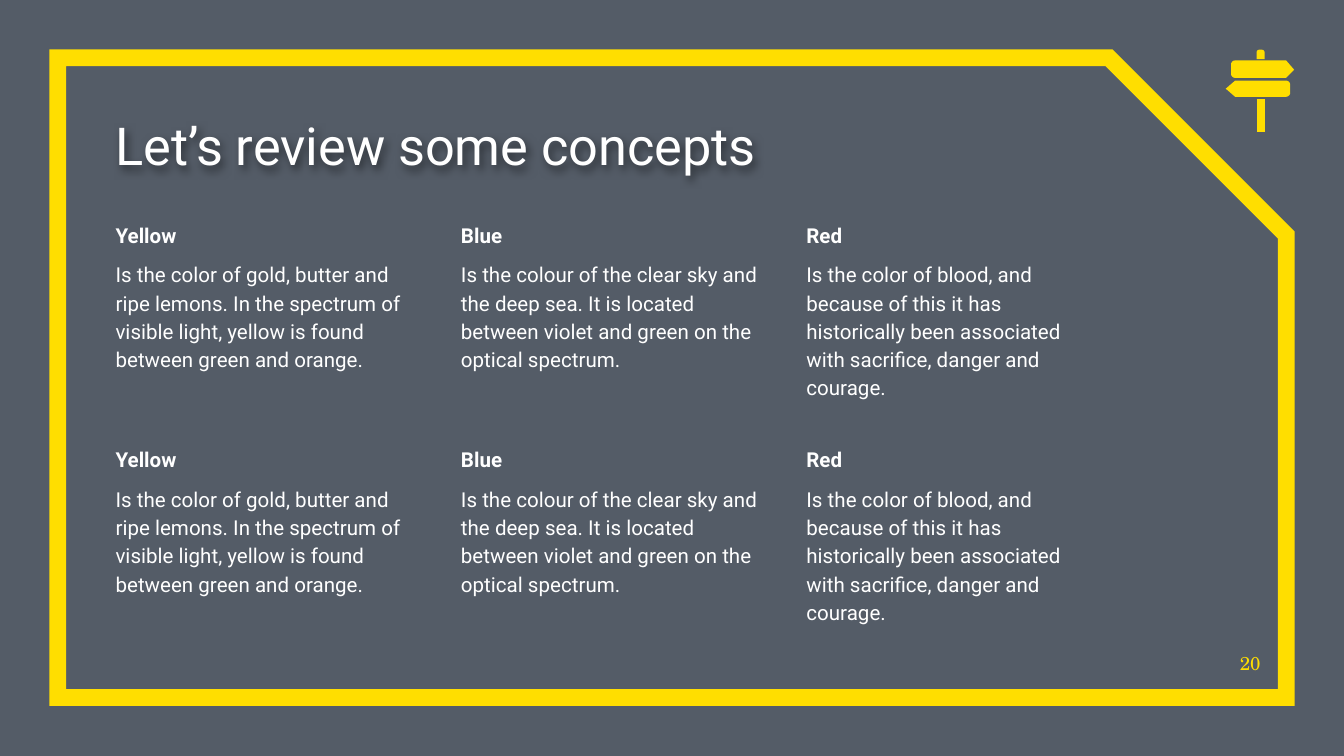
from copy import deepcopy
from math import cos, radians, sin

from lxml.etree import SubElement
from pptx import Presentation
from pptx.dml.color import RGBColor
from pptx.enum.shapes import MSO_SHAPE
from pptx.enum.text import MSO_ANCHOR, MSO_AUTO_SIZE, PP_ALIGN
from pptx.oxml.ns import qn
from pptx.util import Inches, Pt

COLORS = {"navy": "040F20", "yellow": "FFDE00", "white": "FFFFFF", "black": "000000"}
WIDTH = 10
HEIGHT = WIDTH * 9 / 16
UNITS = 1000
CONCEPTS = [
    ("Yellow", "Is the color of gold, butter and ripe lemons. In the spectrum of "
               "visible light, yellow is found between green and orange."),
    ("Blue", "Is the colour of the clear sky and the deep sea. It is located "
             "between violet and green on the optical spectrum."),
    ("Red", "Is the color of blood, and because of this it has historically been "
            "associated with sacrifice, danger and courage."),
]


def rgb(name):
    """Return the named colour."""
    return RGBColor.from_string(COLORS[name])


def place(s, x, y, w, h):
    """Set the position and size of a shape in inches."""
    s.left, s.top, s.width, s.height = (Inches(v) for v in (x, y, w, h))


def write(p, text, size=11, font="Roboto", color="white", bold=False,
          align=PP_ALIGN.LEFT, before=0, spacing=1.0):
    """Fill a paragraph with one formatted run."""
    pPr = p._p.get_or_add_pPr()
    pPr.set("marL", "0")
    pPr.set("indent", "0")
    SubElement(pPr, qn("a:buNone"))
    p.alignment, p.space_before, p.line_spacing = align, Pt(before), spacing
    r = p.add_run()
    r.text = text
    r.font.size, r.font.name, r.font.bold = Pt(size), font, bold
    r.font.color.rgb = rgb(color)


def clear_frame(s, anchor):
    """Remove margins and fitting from a text shape and return its frame."""
    tf = s.text_frame
    tf.word_wrap, tf.auto_size, tf.vertical_anchor = True, MSO_AUTO_SIZE.NONE, anchor
    tf.margin_left = tf.margin_right = tf.margin_top = tf.margin_bottom = 0
    return tf


def add_backdrop(slide):
    """Add the translucent tint and the snipped yellow frame behind the text."""
    shapes = slide.shapes
    tint = shapes.add_shape(MSO_SHAPE.RECTANGLE, 0, 0, Inches(WIDTH), Inches(HEIGHT))
    tint.fill.solid()
    tint.fill.fore_color.rgb = rgb("navy")
    fill = tint._element.spPr.find(qn("a:solidFill"))
    SubElement(fill[0], qn("a:alpha"), val="68000")
    tint.line.fill.background()
    frame = shapes.add_shape(MSO_SHAPE.SNIP_1_RECTANGLE, 0, 0, 0, 0)
    place(frame, 0.43, 0.43, 9.14, 4.76)
    frame.adjustments[0] = 0.277
    frame.fill.background()
    frame.line.color.rgb = rgb("yellow")
    frame.line.width = Pt(9)
    SubElement(frame._element.spPr.find(qn("a:ln")), qn("a:miter"), lim="800000")
    for i, s in enumerate((tint, frame)):
        s.shadow.inherit = False
        shapes._spTree.insert(2 + i, s._element)


def add_title(slide, text):
    """Write the slide title with a soft shadow."""
    title = slide.shapes.title
    place(title, 0.86, 0.78, 7.35, 0.53)
    tf = clear_frame(title, MSO_ANCHOR.BOTTOM)
    write(tf.paragraphs[0], text, size=28)
    title.fill.background()
    effects = SubElement(title._element.spPr, qn("a:effectLst"))
    shadow = SubElement(effects, qn("a:outerShdw"), blurRad="57150", dist="28575",
                        dir="3600000", algn="bl", rotWithShape="0")
    color = SubElement(shadow, qn("a:srgbClr"), val=COLORS["black"])
    SubElement(color, qn("a:alpha"), val="50000")


def add_bodies(slide, count):
    """Return the requested number of body placeholders."""
    first = slide.placeholders[1]
    for i in range(1, count):
        sp = deepcopy(first._element)
        sp.nvSpPr.cNvPr.set("id", str(100 + i))
        sp.nvSpPr.cNvPr.set("name", f"Concept {i + 1}")
        slide.shapes._spTree.append(sp)
    return [s for s in slide.placeholders if s.placeholder_format.idx == 1]


def add_concepts(slide):
    """Lay out the concepts in two rows of three columns."""
    columns = len(CONCEPTS)
    for i, s in enumerate(add_bodies(slide, 2 * columns)):
        row, column = divmod(i, columns)
        place(s, 0.86 + 2.57 * column, 1.63 + 1.67 * row, 2.21, 1.43)
        tf = clear_frame(s, MSO_ANCHOR.TOP)
        heading, text = CONCEPTS[column]
        write(tf.paragraphs[0], heading, bold=True, spacing=1.15)
        write(tf.add_paragraph(), text, before=6, spacing=1.15)


def add_number(slide, text):
    """Add the page number at the lower right."""
    box = slide.shapes.add_textbox(0, 0, 0, 0)
    place(box, 9.11, 4.74, 0.27, 0.28)
    tf = clear_frame(box, MSO_ANCHOR.BOTTOM)
    write(tf.paragraphs[0], text, size=10, font="TeX Gyre Schola",
          color="yellow", align=PP_ALIGN.RIGHT)


def corner(x, y, radius, start):
    """Return the points of a clockwise quarter circle around a centre."""
    angles = [radians(start + 22.5 * i) for i in range(5)]
    return [(x + radius * cos(a), y + radius * sin(a)) for a in angles]


def add_outline(shapes, points):
    """Add a closed yellow outline through points given in inches."""
    scaled = [(x * UNITS, y * UNITS) for x, y in points]
    builder = shapes.build_freeform(*scaled[0], scale=Inches(1) / UNITS)
    builder.add_line_segments(scaled[1:], close=True)
    s = builder.convert_to_shape()
    s.shadow.inherit = False
    s.fill.solid()
    s.fill.fore_color.rgb = rgb("yellow")
    s.line.fill.background()


def add_signpost(slide):
    """Draw the signpost icon as a group of outlines."""
    right_sign = [(9.57, 0.45), (9.63, 0.52), (9.57, 0.58),
                  *corner(9.19, 0.55, 0.03, 90), *corner(9.19, 0.48, 0.03, 180)]
    left_sign = [(9.19, 0.72), (9.12, 0.66), (9.19, 0.6),
                 *corner(9.57, 0.63, 0.03, 270), *corner(9.57, 0.69, 0.03, 0)]
    cap = [(9.41, 0.44), (9.35, 0.44),
           *corner(9.37, 0.39, 0.02, 180), *corner(9.39, 0.39, 0.02, 270)]
    post = [(9.35, 0.74), (9.35, 0.98), (9.41, 0.98), (9.41, 0.74)]
    group = slide.shapes.add_group_shape()
    for points in (right_sign, left_sign, cap, post):
        add_outline(group.shapes, points)


def main():
    """Build the slide and save it."""
    prs = Presentation()
    prs.slide_width, prs.slide_height = Inches(WIDTH), Inches(HEIGHT)
    slide = prs.slides.add_slide(prs.slide_layouts[1])
    add_backdrop(slide)
    add_title(slide, "Let’s review some concepts")
    add_concepts(slide)
    add_number(slide, "20")
    add_signpost(slide)
    prs.save("out.pptx")


if __name__ == "__main__":
    main()
